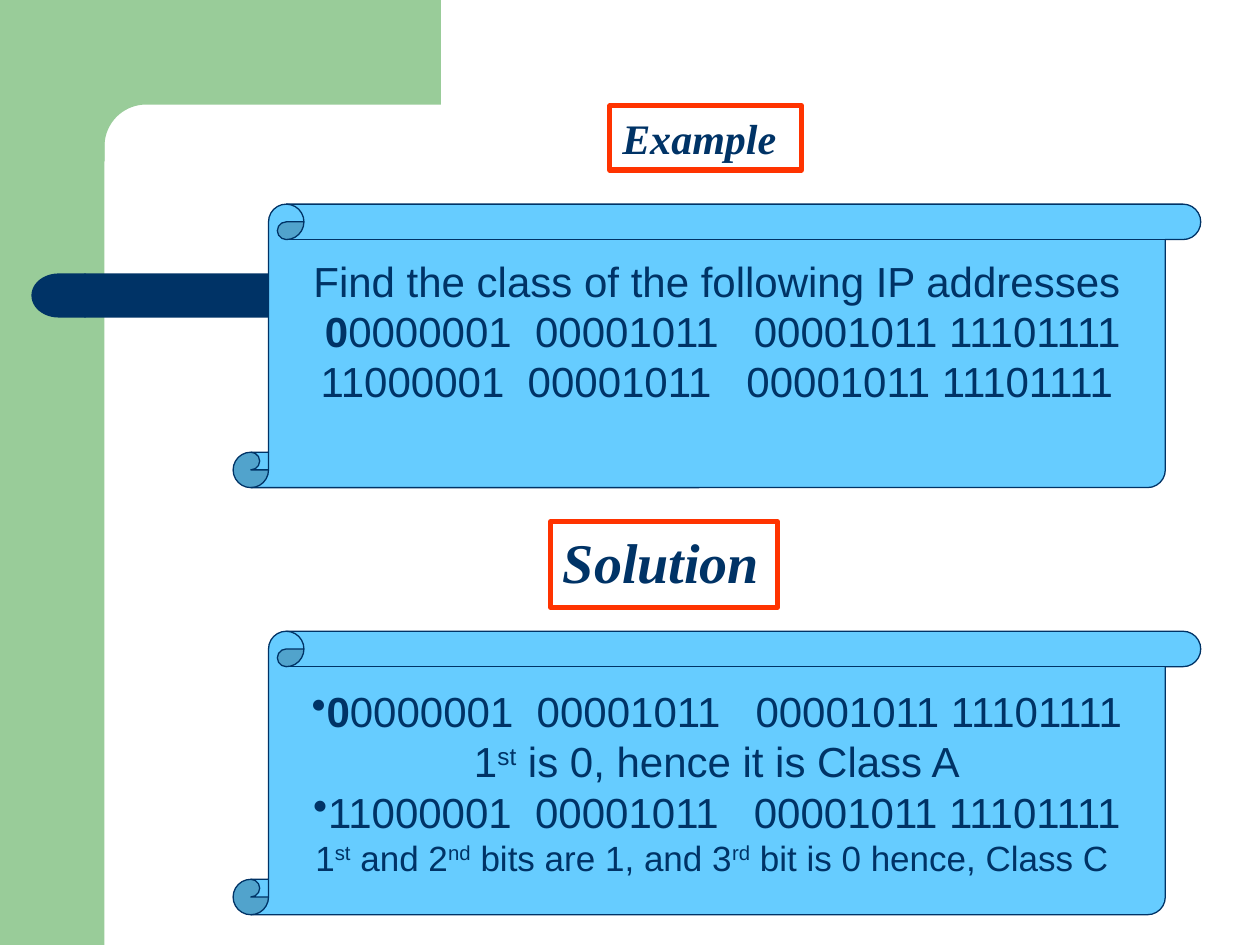
"""Build the slide that finds the class of two IP addresses."""
import math
from dataclasses import dataclass

import pptx
import pptx.dml.color
import pptx.enum.shapes
import pptx.enum.text
import pptx.oxml.ns
import pptx.util
from lxml import etree

Inches = pptx.util.Inches
Pt = pptx.util.Pt
Shape = pptx.enum.shapes.MSO_SHAPE
Align = pptx.enum.text.PP_ALIGN
Anchor = pptx.enum.text.MSO_ANCHOR


@dataclass(frozen=True)
class Theme:
    """Colours, fonts and type sizes of the slide."""
    navy: str = "003366"
    green: str = "99CC99"
    sky: str = "66CCFF"
    red: str = "FF3300"
    white: str = "FFFFFF"
    body_font: str = "Arial"
    label_font: str = "Times New Roman"
    small: int = 20
    body: int = 24
    heading: int = 32


@dataclass(frozen=True)
class Line:
    """One centred line: (text, style) runs, type size and bullet."""
    runs: tuple
    size: int = Theme.body
    bullet: bool = False


THEME = Theme()
SPACE_WIDTH = 0.278


def color(value):
    """Turn a hex string into a colour."""
    return pptx.dml.color.RGBColor.from_string(value)


def add_shape(slide, kind, box, fill, line=None, line_width=0):
    """Add a flat preset shape in a box given in inches."""
    shape = slide.shapes.add_shape(kind, *map(Inches, box))
    paint(shape, fill, line, line_width)
    return shape


def paint(shape, fill, line=None, line_width=0):
    """Give a shape a solid fill, an optional line and no shadow."""
    shape.shadow.inherit = False
    shape.fill.solid()
    shape.fill.fore_color.rgb = color(fill)
    if line:
        shape.line.color.rgb = color(line)
        shape.line.width = Pt(line_width)
    else:
        shape.line.fill.background()


def set_font(paragraph, name, size):
    """Set the navy font of a whole paragraph."""
    font = paragraph.font
    font.name, font.size = name, Pt(size)
    font.color.rgb = color(THEME.navy)
    return font


def add_frame(slide, box):
    """Draw the green side band with its rounded inner corner."""
    left, top, width, height = box
    band, radius = 0.83, 0.33
    add_shape(slide, Shape.RECTANGLE, (left, top, band, height), THEME.green)
    center_x, center_y = left + band + radius, top + band + radius
    arc = [(center_x - radius * math.sin(angle), center_y - radius * math.cos(angle))
           for angle in (math.radians(degree) for degree in range(0, 91, 5))]
    outline = [(left + width, top), (left + width, top + band), *arc,
               (left + band, top + 1.28), (left + 0.5, top + 1.28)]
    builder = slide.shapes.build_freeform(
        Inches(left + 0.5), Inches(top), scale=1.0)
    builder.add_line_segments(
        [(Inches(x), Inches(y)) for x, y in outline], close=True)
    paint(builder.convert_to_shape(), THEME.green)


def add_title_bar(slide, box):
    """Draw the navy bar with its round left end."""
    left, top, width, height = box
    cap = 0.42
    bar = add_shape(slide, Shape.ROUNDED_RECTANGLE,
                    (left + cap, top, width - cap, height), THEME.navy)
    bar.adjustments[0] = 0
    end = add_shape(slide, Shape.FLOWCHART_DELAY,
                    (left, top, cap + 0.01, height), THEME.navy)
    end._element.spPr.xfrm.set("flipH", "1")


def add_label(slide, box, text, size):
    """Add a white heading box with a red border."""
    shape = add_shape(slide, Shape.RECTANGLE, box, THEME.white, THEME.red, 3)
    frame = shape.text_frame
    frame.word_wrap = True
    frame.vertical_anchor = Anchor.TOP
    paragraph = frame.paragraphs[0]
    paragraph.alignment = Align.LEFT
    paragraph.add_run().text = text
    font = set_font(paragraph, THEME.label_font, size)
    font.bold = font.italic = True


def add_bullet(paragraph):
    """Give a paragraph a round bullet without a hanging indent."""
    properties = paragraph._p.get_or_add_pPr()
    properties.set("marL", "0")
    properties.set("indent", "0")
    bullet = etree.SubElement(properties, pptx.oxml.ns.qn("a:buChar"))
    bullet.set("char", "•")


def write_line(paragraph, line):
    """Write the runs of one scroll line."""
    paragraph.alignment = Align.CENTER
    if line.bullet:
        add_bullet(paragraph)
    set_font(paragraph, THEME.body_font, line.size)
    for text, style in line.runs:
        run = paragraph.add_run()
        run.text = text
        if style == "bold":
            run.font.bold = True
        elif style == "super":
            run.font._element.set("baseline", "30000")
        elif style:
            extra = (style - 1) * SPACE_WIDTH * line.size
            run.font._element.set("spc", str(round(extra * 100)))


def add_scroll(slide, box, lines, bottom_margin=0.05):
    """Add a blue scroll holding centred lines."""
    shape = add_shape(slide, Shape.VERTICAL_SCROLL, box, THEME.sky, THEME.navy, 0.75)
    shape.adjustments[0] = 0.125
    frame = shape.text_frame
    frame.word_wrap = False
    frame.vertical_anchor = Anchor.MIDDLE
    frame.margin_bottom = Inches(bottom_margin)
    for index, line in enumerate(lines):
        paragraph = frame.add_paragraph() if index else frame.paragraphs[0]
        write_line(paragraph, line)


def address(first_octet):
    """Return an address as runs, with the wider gaps between octets."""
    return ((first_octet, None), (" ", 2), ("00001011", None), (" ", 3),
            ("00001011 11101111", None))


def main():
    """Build and save the slide."""
    presentation = pptx.Presentation()
    presentation.slide_width, presentation.slide_height = Inches(10), Inches(7.5)
    slide = presentation.slides.add_slide(presentation.slide_layouts[6])
    class_a, class_c = address("0000001"), address("11000001")
    question = [
        Line((("Find the class of the following IP addresses", None),)),
        Line(((" 0", "bold"), *class_a)),
        Line(class_c),
    ]
    answer = [
        Line((("0", "bold"), *class_a), bullet=True),
        Line((("1", None), ("st", "super"), (" is 0, hence it is Class A", None))),
        Line(class_c, bullet=True),
        Line((("1", None), ("st", "super"), (" and 2", None), ("nd", "super"),
              (" bits are 1, and 3", None), ("rd", "super"),
              (" bit is 0 hence, Class C ", None)), size=THEME.small),
    ]
    add_frame(slide, (0, 0, 3.5, 7.5))
    add_title_bar(slide, (0.25, 2.17, 8.09, 0.35))
    add_label(slide, (4.84, 0.84, 1.52, 0.51), "Example", THEME.body)
    add_label(slide, (4.37, 4.14, 1.8, 0.68), "Solution", THEME.heading)
    add_scroll(slide, (1.85, 1.62, 7.68, 2.25), question, bottom_margin=0.43)
    add_scroll(slide, (1.85, 5.01, 7.68, 2.25), answer)
    presentation.save("out.pptx")


if __name__ == "__main__":
    main()
